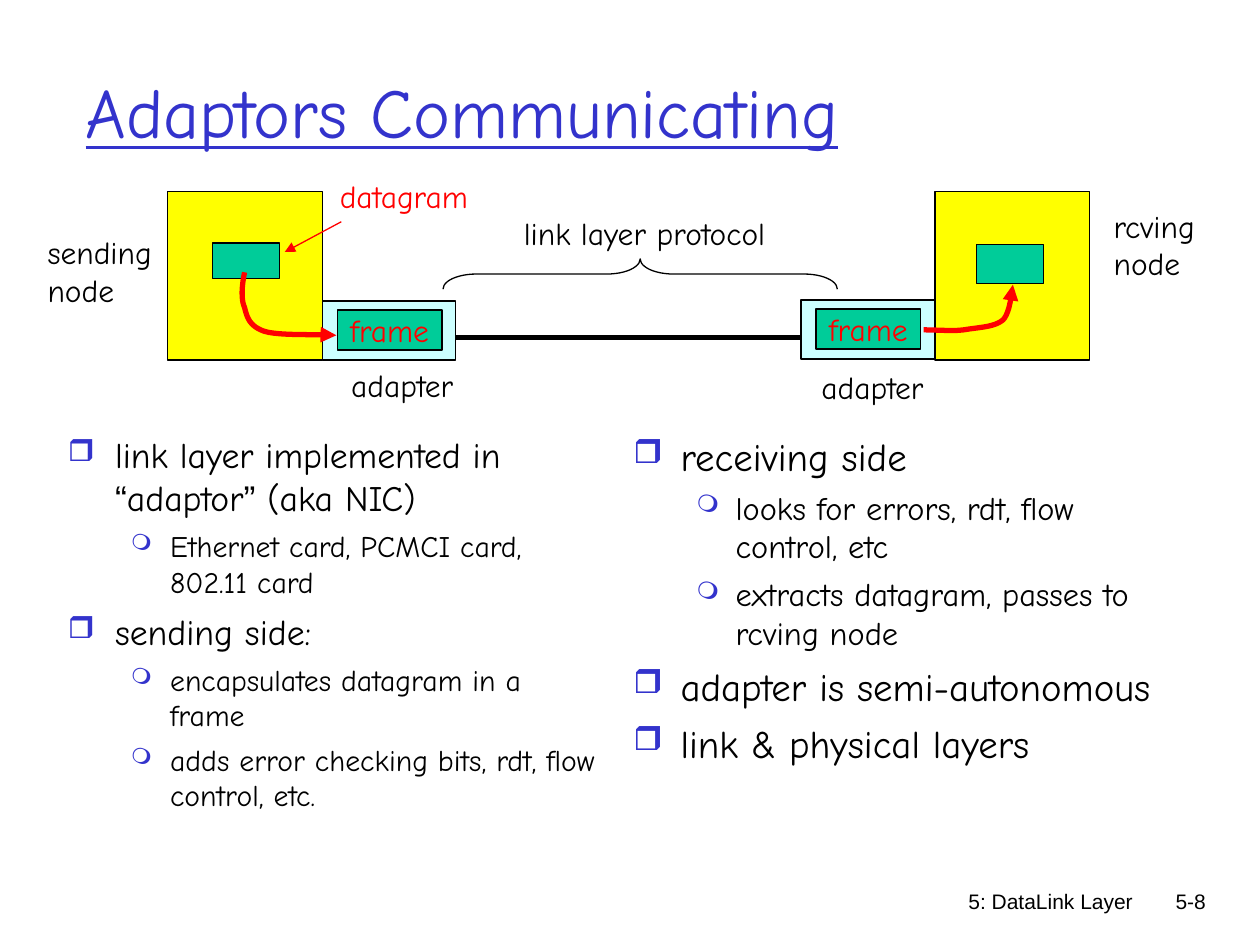
from itertools import groupby

from lxml.etree import SubElement
from pptx import Presentation
from pptx.dml.color import RGBColor
from pptx.enum.shapes import MSO_CONNECTOR as Connector, MSO_SHAPE as Shape
from pptx.enum.text import MSO_ANCHOR as Anchor, MSO_AUTO_SIZE as AutoSize, PP_ALIGN as Align
from pptx.oxml.ns import qn
from pptx.util import Cm, Pt

BLACK = RGBColor(0x00, 0x00, 0x00)
RED = RGBColor(0xFF, 0x00, 0x00)
BLUE = RGBColor(0x33, 0x33, 0xCC)
YELLOW = RGBColor(0xFF, 0xFF, 0x00)
GREEN = RGBColor(0x00, 0xCC, 0x99)
PALE_CYAN = RGBColor(0xCC, 0xFF, 0xFF)

HAND_FONT, PLAIN_FONT = "Comic Neue", "Arial"

# Per level: bullet, bullet size, left indent, hanging indent, space before
LEVELS = [("❒", 85, 0.95, 0.95, 6), ("❍", 75, 2.06, 0.79, 5)]


def bezier_points(points, steps=12):
    """Sample a chain of cubic curves: a start, then three points per curve."""
    sampled = [points[0]]
    for first in range(0, len(points) - 1, 3):
        p0, p1, p2, p3 = points[first:first + 4]
        for step in range(1, steps + 1):
            t = step / steps
            u = 1 - t
            sampled.append(tuple(
                u**3 * a + 3 * u * u * t * b + 3 * u * t * t * c + t**3 * d
                for a, b, c, d in zip(p0, p1, p2, p3)))
    return sampled


class SlideBuilder:
    def __init__(self, slide):
        self.slide = slide
        self.shapes = slide.shapes

    def add_text(self, paragraph, text, size=18, color=BLACK, font=HAND_FONT, **extra):
        """Add the text, with curly quotes set in the plain font."""
        for is_quote, letters in groupby(text, key=lambda letter: letter in "“”"):
            run = paragraph.add_run()
            run.text = "".join(letters)
            formats = {"name": PLAIN_FONT if is_quote else font, "size": Pt(size), **extra}
            for name, value in formats.items():
                setattr(run.font, name, value)
            run.font.color.rgb = color

    def title(self, text, left, top, width, height):
        title = self.shapes.title
        place = {"left": left, "top": top, "width": width, "height": height}
        for name, value in place.items():
            setattr(title, name, Cm(value))
        title.text_frame.vertical_anchor = Anchor.MIDDLE
        paragraph = title.text_frame.paragraphs[0]
        paragraph.alignment = Align.LEFT
        self.add_text(paragraph, text, 40, BLUE, underline=True)

    def text_frame(self, left, top, width, height):
        box = self.shapes.add_textbox(Cm(left), Cm(top), Cm(width), Cm(height))
        box.text_frame.word_wrap = True
        return box.text_frame

    def label(self, lines, left, top, width, height=1.02, color=BLACK):
        frame = self.text_frame(left, top, width, height)
        frame.word_wrap = False
        frame.auto_size = AutoSize.SHAPE_TO_FIT_TEXT
        for index, line in enumerate(lines):
            paragraph = frame.add_paragraph() if index else frame.paragraphs[0]
            self.add_text(paragraph, line, color=color)

    def footer(self, text, left, width):
        paragraph = self.text_frame(left, 17.78, width, 1.27).paragraphs[0]
        paragraph.alignment = Align.RIGHT
        self.add_text(paragraph, text, 12, font=PLAIN_FONT)

    def bullets(self, items, sizes, left, top, width, height):
        frame = self.text_frame(left, top, width, height)
        for index, (level, text) in enumerate(items):
            paragraph = frame.add_paragraph() if index else frame.paragraphs[0]
            symbol, percent, indent, hanging, space = LEVELS[level]
            paragraph.level = level
            if index:
                paragraph.space_before = Pt(space)
            properties = paragraph._p.get_or_add_pPr()
            properties.set("marL", str(Cm(indent)))
            properties.set("indent", str(-Cm(hanging)))
            color = SubElement(properties, qn("a:buClr"))
            SubElement(color, qn("a:srgbClr"), val=str(BLUE))
            SubElement(properties, qn("a:buSzPct"), val=str(percent * 1000))
            SubElement(properties, qn("a:buChar"), char=symbol)
            self.add_text(paragraph, text, sizes[level])

    def outline(self, shape, color=BLACK, width=0.75, arrow=False):
        shape.line.color.rgb = color
        shape.line.width = Pt(width)
        if arrow:
            SubElement(shape.line._get_or_add_ln(), qn("a:tailEnd"), type="triangle")

    def rectangle(self, left, top, width, height, fill, text=""):
        shape = self.shapes.add_shape(
            Shape.RECTANGLE, Cm(left), Cm(top), Cm(width), Cm(height))
        shape.shadow.inherit = False
        shape.fill.solid()
        shape.fill.fore_color.rgb = fill
        self.outline(shape)
        if text:
            frame = shape.text_frame
            frame.word_wrap = False
            frame.vertical_anchor = Anchor.MIDDLE
            frame.paragraphs[0].alignment = Align.CENTER
            self.add_text(frame.paragraphs[0], text, color=RED)

    def adapter(self, left, top):
        self.rectangle(left, top, 2.69, 1.19, PALE_CYAN)
        self.rectangle(left + 0.3, top + 0.18, 2.11, 0.81, GREEN, "frame")

    def line(self, start, end, **style):
        line = self.shapes.add_connector(
            Connector.STRAIGHT, *(Cm(value) for value in (*start, *end)))
        self.outline(line, **style)
        SubElement(line._element.spPr, qn("a:effectLst"))

    def curved_arrow(self, points):
        start, *rest = [(Cm(x), Cm(y)) for x, y in bezier_points(points)]
        builder = self.shapes.build_freeform(*start)
        builder.add_line_segments(rest, close=False)
        curve = builder.convert_to_shape()
        curve.shadow.inherit = False
        curve.fill.background()
        self.outline(curve, RED, 3, arrow=True)

    def upward_brace(self, left, top, width, height):
        brace = self.shapes.add_shape(
            Shape.LEFT_BRACE, Cm(left), Cm(top), Cm(width), Cm(height))
        brace.rotation = 90
        brace.adjustments[0] = 1.1
        brace.shadow.inherit = False
        brace.fill.background()
        self.outline(brace)


def main():
    presentation = Presentation()
    presentation.slide_width, presentation.slide_height = Cm(25.4), Cm(19.05)
    title_only = presentation.slide_layouts[5]
    builder = SlideBuilder(presentation.slides.add_slide(title_only))

    builder.title("Adaptors Communicating", 1.47, 0.64, 21.59, 3.18)
    builder.footer("5: DataLink Layer", 15.04, 8.05)
    builder.footer("5-8", 22.68, 1.88)

    builder.bullets([
        (0, "link layer implemented in “adaptor” (aka NIC)"),
        (1, "Ethernet card, PCMCI card, 802.11 card"),
        (0, "sending side:"),
        (1, "encapsulates datagram in a frame"),
        (1, "adds error checking bits, rdt, flow control, etc."),
    ], (20.4, 17), 1.12, 8.61, 11.3, 8.41)
    builder.bullets([
        (0, "receiving side"),
        (1, "looks for errors, rdt, flow control, etc"),
        (1, "extracts datagram, passes to rcving node"),
        (0, "adapter is semi-autonomous"),
        (0, "link & physical layers"),
    ], (22.2, 18.5), 12.52, 8.59, 11.35, 8.31)

    builder.adapter(6.5, 6.07)
    builder.line((9.17, 6.81), (16.18, 6.81), width=3)
    for host_left in (3.38, 18.85):
        builder.rectangle(host_left, 3.86, 3.12, 3.4, YELLOW)
    builder.rectangle(4.29, 4.9, 1.35, 0.71, GREEN)
    builder.rectangle(19.69, 4.93, 1.35, 0.79, GREEN)
    builder.adapter(16.15, 6.05)

    builder.line((6.88, 4.47), (5.74, 5.08), color=RED, arrow=True)
    builder.curved_arrow([
        (4.93, 5.49), (4.88, 5.74), (4.85, 6.02), (4.93, 6.2), (4.98, 6.4),
        (5.03, 6.58), (5.33, 6.68), (5.64, 6.78), (6.53, 6.73), (6.78, 6.76)])
    builder.curved_arrow([
        (18.62, 6.65), (18.9, 6.65), (19.18, 6.68), (19.43, 6.65), (19.71, 6.6),
        (20.04, 6.6), (20.22, 6.45), (20.37, 6.3), (20.4, 5.84), (20.42, 5.74)])
    builder.upward_brace(12.6, 1.55, 0.61, 7.95)

    builder.label(["sending", "node"], 0.71, 4.57, 2.62, 1.78)
    builder.label(["rcving", "node"], 22.2, 4.04, 2.16, 1.78)
    builder.label(["datagram"], 6.6, 3.45, 3.12, color=RED)
    builder.label(["link layer protocol"], 10.31, 4.19, 5.41)
    builder.label(["adapter"], 6.83, 7.26, 2.59)
    builder.label(["adapter"], 16.31, 7.29, 2.59)

    presentation.save("out.pptx")


if __name__ == "__main__":
    main()
